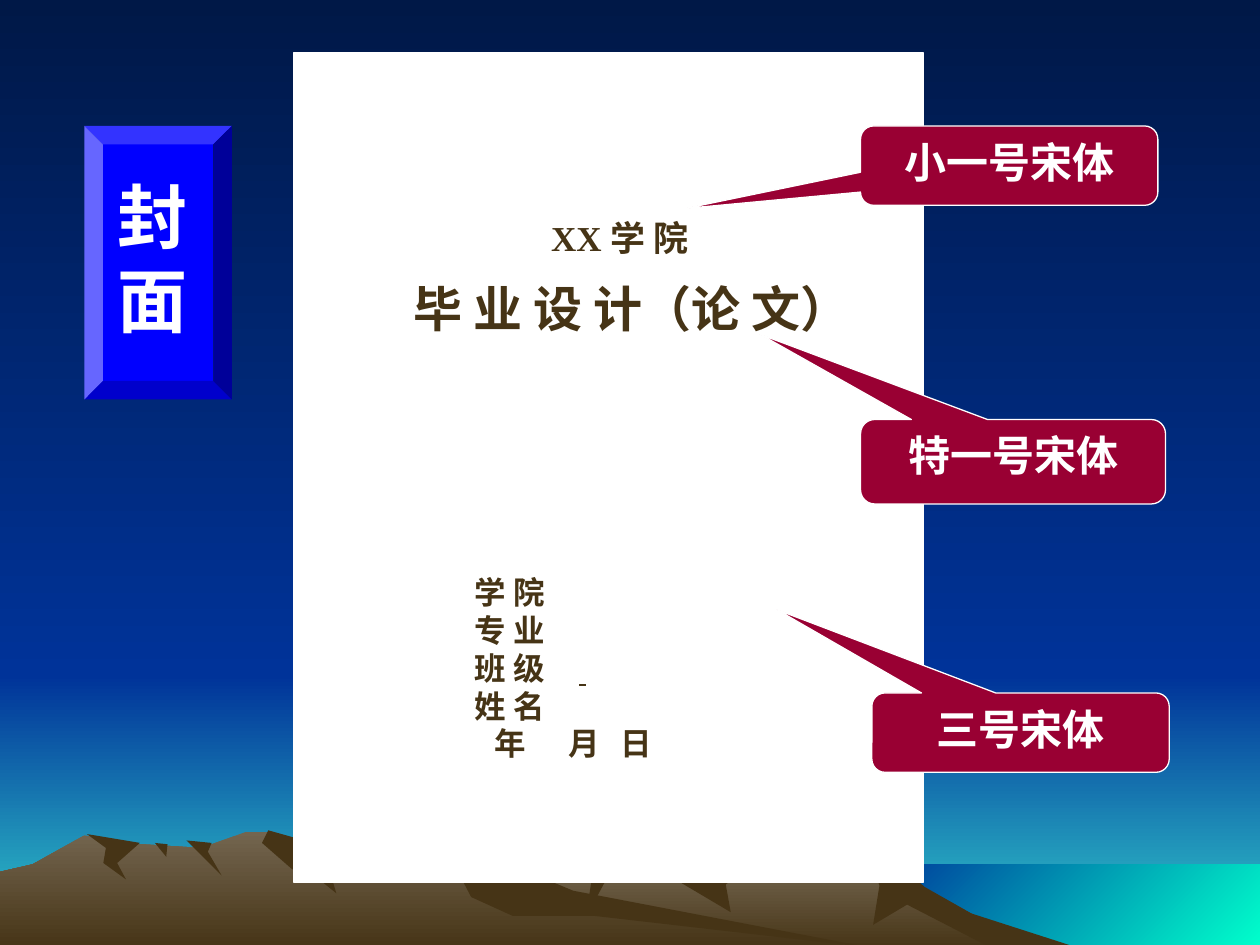
from lxml.etree import SubElement
from pptx import Presentation
from pptx.dml.color import RGBColor
from pptx.enum.shapes import MSO_SHAPE
from pptx.enum.text import MSO_ANCHOR, MSO_AUTO_SIZE, PP_ALIGN
from pptx.oxml.ns import qn
from pptx.util import Inches, Pt

BROWN, WHITE, RED = "463416", "FFFFFF", "990033"
NAVY, BLUE = "001847", "003399"


def paint(fill, *tones, angle=270):
    """One tone gives a solid fill, two give a gradient."""
    if len(tones) == 1:
        fill.solid()
        fill.fore_color.rgb = RGBColor.from_string(tones[0])
        return
    fill.gradient()
    fill.gradient_angle = angle
    for stop, tone in zip(fill.gradient_stops, tones):
        stop.color.rgb = RGBColor.from_string(tone)


def write(para, text, size, tone, font="Arial", under=None):
    run = para.add_run()
    run.text = text
    run.font.size = Pt(size)
    run.font.bold = True
    run.font.name = font
    run.font.underline = under
    run.font.color.rgb = RGBColor.from_string(tone)


prs = Presentation()
prs.slide_width, prs.slide_height = Inches(10), Inches(7.5)
slide = prs.slides.add_slide(prs.slide_layouts[5])
shapes = slide.shapes
paint(slide.background.fill, NAVY, BLUE)

# Horizon, sky and sea: each reaches the right edge
for left, top, low, tones, angle in [
    (0, 5.36, 7.5, (BLUE, "33CCCC"), 270),
    (0, 0, 5.36, (NAVY, BLUE), 270),
    (6.83, 6.86, 7.5, ("00FFCC", BLUE), 135),
]:
    band = shapes.add_shape(MSO_SHAPE.RECTANGLE, Inches(left), Inches(top),
                            Inches(10 - left), Inches(low - top))
    band.shadow.inherit = False
    band.line.fill.background()
    paint(band.fill, *tones, angle=angle)

# Mountains and their shaded sides, in hundredths of an inch
hills = [
    (("847864", BROWN), [(821, 753), (723, 699), (685, 661), (566, 698),
                         (471, 660), (394, 687), (258, 753)]),
    ((BROWN,), [(858, 753), (771, 725), (734, 704), (685, 661), (698, 703),
                (693, 734), (720, 718), (788, 753)]),
    ((BROWN,), [(471, 660), (472, 682), (465, 728), (479, 702), (497, 673)]),
    ((BROWN,), [(526, 677), (536, 698), (580, 724), (576, 702), (591, 691)]),
    (("73654F", BROWN), [(690, 753), (432, 714), (354, 666), (318, 665),
                         (271, 683), (235, 682), (212, 660), (196, 660),
                         (160, 673), (111, 670), (67, 663), (26, 686),
                         (0, 692), (0, 753)]),
    ((BROWN,), [(213, 659), (208, 669), (232, 690), (241, 688), (267, 709),
                (261, 689), (271, 682), (245, 668)]),
    ((BROWN,), [(354, 665), (337, 687), (363, 691), (374, 712), (407, 727),
                (472, 727), (690, 752), (455, 707)]),
    ((BROWN,), [(148, 667), (168, 669), (165, 676), (176, 695)]),
    ((BROWN,), [(133, 670), (132, 680), (123, 669)]),
    ((BROWN,), [(69, 662), (111, 669), (93, 685), (100, 698), (82, 685),
                (84, 673)]),
]
for tones, dots in hills:
    outline = shapes.build_freeform(*dots[0], scale=Inches(0.01))
    outline.add_line_segments(dots[1:], close=True)
    hill = outline.convert_to_shape()
    hill.shadow.inherit = False
    hill.line.fill.background()
    paint(hill.fill, *tones)

# Bevelled plate
plate = shapes.add_shape(MSO_SHAPE.BEVEL, Inches(0.67), Inches(1),
                         Inches(1.17), Inches(2.17))
plate.shadow.inherit = False
plate.line.fill.background()
paint(plate.fill, "0000FF")

# Cover page and callouts
call = MSO_SHAPE.ROUNDED_RECTANGULAR_CALLOUT
for kind, left, top, wide, high, tip, tone, text in [
    (MSO_SHAPE.RECTANGLE, 2.33, 0.42, 5, 6.58, None, WHITE, ""),
    (call, 6.83, 1, 2.36, 0.63, (-1.09, 0.54), RED, "小一号宋体"),
    (call, 6.83, 3.33, 2.42, 0.67, (-0.83, -1.51), RED, "特一号宋体"),
    (call, 6.92, 5.5, 2.36, 0.63, (-0.82, -1.55), RED, "三号宋体"),
]:
    box = shapes.add_shape(kind, Inches(left), Inches(top), Inches(wide), Inches(high))
    box.shadow.inherit = False
    paint(box.fill, tone)
    paint(box.line.fill, WHITE)
    box.line.width = Pt(0.75)
    if tip:
        box.adjustments[0], box.adjustments[1] = tip
        box.text_frame.vertical_anchor = MSO_ANCHOR.TOP
        para = box.text_frame.paragraphs[0]
        para.alignment = PP_ALIGN.CENTER
        write(para, text, 24, WHITE)

# Slide title, brought in front of the plate
title = shapes.title
title.left, title.top = Inches(0.83), Inches(1.33)
title.width, title.height = Inches(0.92), Inches(1.44)
plate.element.addnext(title.element)
frame = title.text_frame
frame.word_wrap = True
frame.auto_size = MSO_AUTO_SIZE.NONE
frame.vertical_anchor = MSO_ANCHOR.TOP
para = frame.paragraphs[0]
para.alignment = PP_ALIGN.LEFT
para.space_before = Pt(25)
write(para, "封面", 40, WHITE)

# Form lines: text, indent, tab stops
form = shapes.add_textbox(Inches(3.67), Inches(4.5), Inches(2.58), Inches(1.6)).text_frame
form.word_wrap = True
for row, (text, inset, stops) in enumerate([
    ("学 院", 0, []),
    ("专 业", 0, []),
    ("班 级\t", 0, [0.83]),
    ("姓 名", 0, []),
    ("年\t月\t日", 0.16, [0.58, 1]),
]):
    para = form.add_paragraph() if row else form.paragraphs[0]
    props = para._p.get_or_add_pPr()
    props.set("marL", str(Inches(inset)))
    if stops:
        tabs = SubElement(props, qn("a:tabLst"))
        for stop in stops:
            SubElement(tabs, qn("a:tab"), pos=str(Inches(stop)), algn="l")
    write(para, text, 18, BROWN, "Noto Sans CJK SC" if inset else "Arial")
    if text.endswith("\t"):
        write(para, " ", 18, BROWN, under=True)

# Cover heading
head = shapes.add_textbox(Inches(2.92), Inches(1.67), Inches(4), Inches(1.06)).text_frame
head.word_wrap = True
para = head.paragraphs[0]
para.alignment = PP_ALIGN.CENTER
para.space_before = Pt(12.5)
write(para, "XX 学 院", 20, BROWN, "Times New Roman")
para = head.add_paragraph()
para.space_before = Pt(11.2)
para._p.get_or_add_pPr().set("marL", str(Inches(0.26)))
write(para, "毕 业 设 计（论 文）", 28, BROWN)

prs.save("out.pptx")
